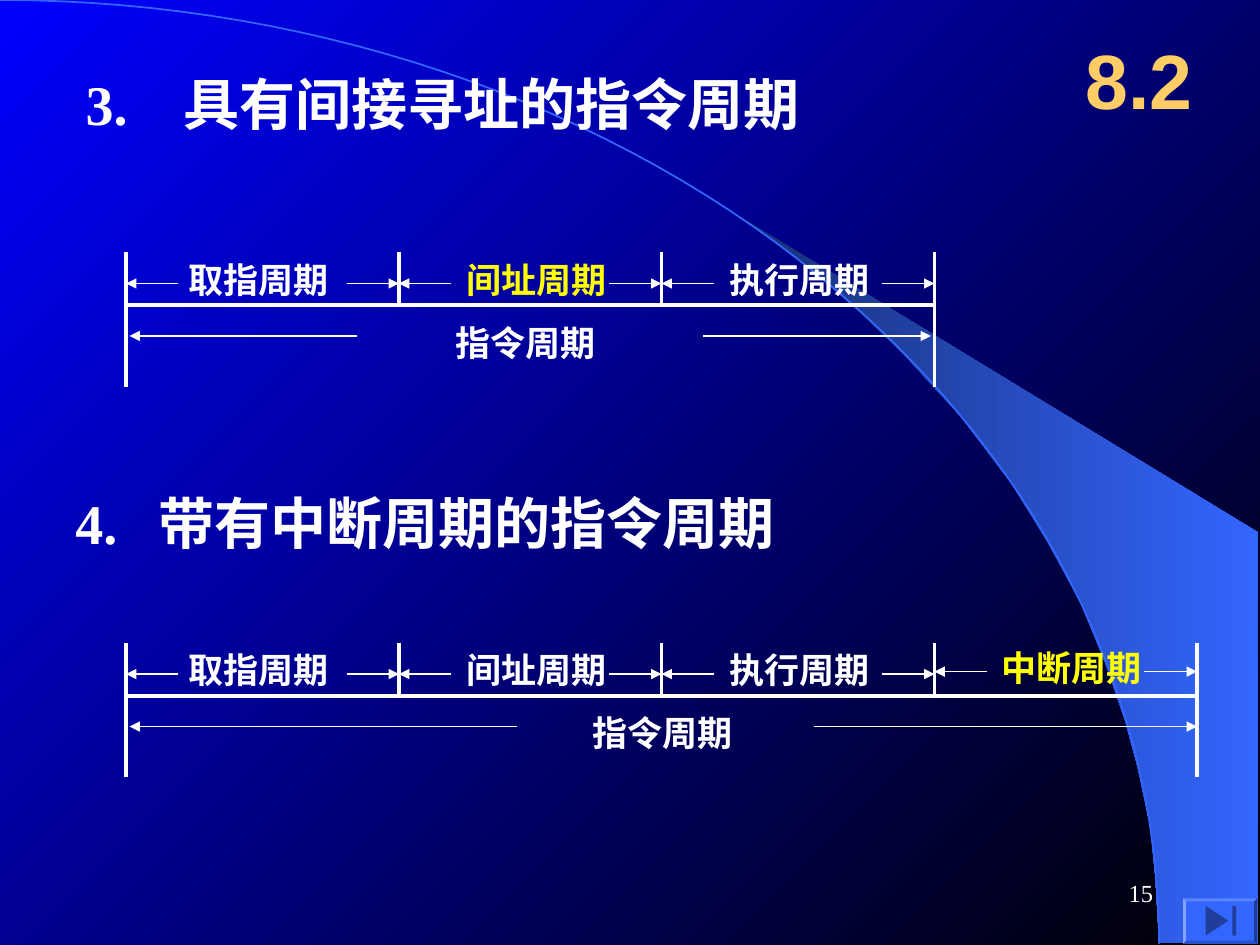
import math

import lxml.etree
import pptx
import pptx.dml.color
import pptx.enum.dml
import pptx.enum.shapes
import pptx.enum.text
import pptx.oxml.ns
import pptx.util

Pt = pptx.util.Pt
qn = pptx.oxml.ns.qn
SHAPE = pptx.enum.shapes.MSO_SHAPE
ALIGN = pptx.enum.text.PP_ALIGN
ANCHOR = pptx.enum.text.MSO_ANCHOR

WHITE, YELLOW, GOLD = "FFFFFF", "FFFF00", "FFCC66"
BLUE, NAVY, ICON = "3366FF", "182F76", "1F3D99"
SERIF = "Times New Roman"

HEADING = {"name": SERIF, "size": Pt(32), "bold": True}
LABEL = {"name": SERIF, "size": Pt(20), "bold": True}
SECTION = {"name": "Arial", "size": Pt(44), "bold": True}
PAGE = {"name": SERIF, "size": Pt(14), "bold": False}

BEAM = [(9.2, 7.48), (9.99, 7.49), (9.99, 4.23), (5.89, 1.73), (6.24, 1.99),
        (6.53, 2.22), (6.85, 2.5), (7.16, 2.8), (7.62, 3.3), (8.03, 3.84),
        (8.32, 4.31), (8.58, 4.79), (8.78, 5.28), (8.93, 5.72), (9.03, 6.09),
        (9.13, 6.56), (9.17, 6.96)]


def rgb(value):
    return pptx.dml.color.RGBColor.from_string(value)


def fill_gradient(fill, first, last, angle):
    fill.gradient()
    fill.gradient_angle = angle
    for stop, colour in zip(fill.gradient_stops, (first, last)):
        stop.color.rgb = rgb(colour)


def add_text(slide, text, box, style, colour, wrap=True, align=ALIGN.LEFT,
             anchor=ANCHOR.TOP, tab=None):
    """Add a text box; tab is the stop, in points, after a heading number."""
    frame = slide.shapes.add_textbox(*map(Pt, box)).text_frame
    frame.word_wrap = wrap
    frame.vertical_anchor = anchor
    paragraph = frame.paragraphs[0]
    paragraph.alignment = align
    if tab:
        stops = lxml.etree.SubElement(paragraph._p.get_or_add_pPr(), qn("a:tabLst"))
        lxml.etree.SubElement(stops, qn("a:tab"), pos=str(Pt(tab)), algn="l")
    run = paragraph.add_run()
    run.text = text
    for attribute, value in style.items():
        setattr(run.font, attribute, value)
    run.font.color.rgb = rgb(colour)


def add_line(slide, x1, y1, x2, y2, width=2.25, arrow=False):
    line = slide.shapes.add_connector(
        pptx.enum.shapes.MSO_CONNECTOR.STRAIGHT, *map(Pt, (x1, y1, x2, y2)))
    line.line.width = Pt(width)
    line.line.color.rgb = rgb(WHITE)
    if arrow:
        lxml.etree.SubElement(line.line._get_or_add_ln(), qn("a:tailEnd"), type="triangle")
    lxml.etree.SubElement(line._element.spPr, qn("a:effectLst"))


def add_arrow(slide, x1, x2, y):
    add_line(slide, x1, y, x2, y, 0.75, arrow=True)


def add_outline(slide, points, close):
    """Add a freeform through points given in points of length."""
    start, *rest = [(Pt(x), Pt(y)) for x, y in points]
    builder = slide.shapes.build_freeform(*start)
    builder.add_line_segments(rest, close=close)
    outline = builder.convert_to_shape()
    outline.shadow.inherit = False
    return outline


def add_solid(slide, preset, box, colour):
    solid = slide.shapes.add_shape(preset, *map(Pt, box))
    solid.shadow.inherit = False
    solid.fill.solid()
    solid.fill.fore_color.rgb = rgb(colour)
    solid.line.fill.background()
    return solid


def add_backdrop(slide):
    fill_gradient(slide.background.fill, "0000FF", "000000", 315)

    beam = add_outline(slide, [(72 * x, 72 * y) for x, y in BEAM], close=True)
    fill_gradient(beam.fill, NAVY, BLUE, 0)
    beam.line.fill.background()

    steps = 60
    angles = [math.pi / 2 * i / steps for i in range(steps + 1)]
    arc = add_outline(
        slide, [(662.4 * math.sin(a), 539.3 * (1 - math.cos(a))) for a in angles], close=False)
    arc.fill.background()
    arc.line.color.rgb = rgb(BLUE)
    arc.line.width = Pt(1)


def add_end_button(slide):
    button = add_solid(slide, SHAPE.BEVEL, (676, 513.3, 42.5, 26), BLUE)
    button.adjustments[0] = 0.07
    triangle = add_solid(slide, SHAPE.ISOSCELES_TRIANGLE, (686.9, 519.7, 17, 13), ICON)
    triangle.rotation = 90
    add_solid(slide, SHAPE.RECTANGLE, (704.2, 517.7, 2.2, 17), ICON)


def add_timeline(slide, top, cycles, total_left, total_arrows):
    """Draw cycles (name, start, end, label left, colour, lift) on one axis."""
    begin, finish = cycles[0][1], cycles[-1][2]
    axis, bottom = top + 30.4, top + 77
    add_line(slide, begin, axis, finish, axis)
    add_line(slide, begin, top, begin, bottom)
    add_line(slide, finish, top, finish, bottom)

    for name, start, end, left, colour, lift in cycles:
        if start != begin:
            add_line(slide, start, top, start, axis)
        add_text(slide, name, (left, top - lift, 94.3, 31.5), LABEL, colour, wrap=False)
        y = top + 18 - lift
        add_arrow(slide, start + 30, start, y)
        add_arrow(slide, end - 30, end, y)

    add_text(slide, "指令周期", (total_left, top + 36, 94.3, 31.5), LABEL, WHITE, wrap=False)
    for tail, head in total_arrows:
        add_arrow(slide, tail, head, top + 48)


def main():
    deck = pptx.Presentation()
    deck.slide_width, deck.slide_height = Pt(720), Pt(540)
    slide = deck.slides.add_slide(deck.slide_layouts[6])
    add_backdrop(slide)

    fetch = ("取指周期", 72, 228, 100.8, WHITE, 0)
    execute = ("执行周期", 378, 534, 409.7, WHITE, 0)
    interrupt = ("中断周期", 534, 684, 565.2, YELLOW, 1.4)

    def indirect(colour):
        return ("间址周期", 228, 378, 259.4, colour, 0)

    add_text(slide, "3.\t具有间接寻址的指令周期", (41.8, 36, 450, 46), HEADING, WHITE, tab=56)
    add_timeline(slide, 144, [fetch, indirect(YELLOW), execute],
                 253.4, [(204, 74), (402, 532)])

    add_text(slide, "4.\t带有中断周期的指令周期", (36, 275.8, 450, 46), HEADING, WHITE, tab=47.5)
    add_timeline(slide, 367.2, [fetch, indirect(WHITE), execute, interrupt],
                 331.2, [(295.4, 74), (465, 684)])

    add_text(slide, "8.2", (606, 12, 90, 66), SECTION, GOLD,
             align=ALIGN.CENTER, anchor=ANCHOR.MIDDLE)
    add_end_button(slide)
    add_text(slide, "15", (516, 492, 150, 36), PAGE, WHITE,
             align=ALIGN.RIGHT, anchor=ANCHOR.MIDDLE)
    deck.save("out.pptx")


if __name__ == "__main__":
    main()
